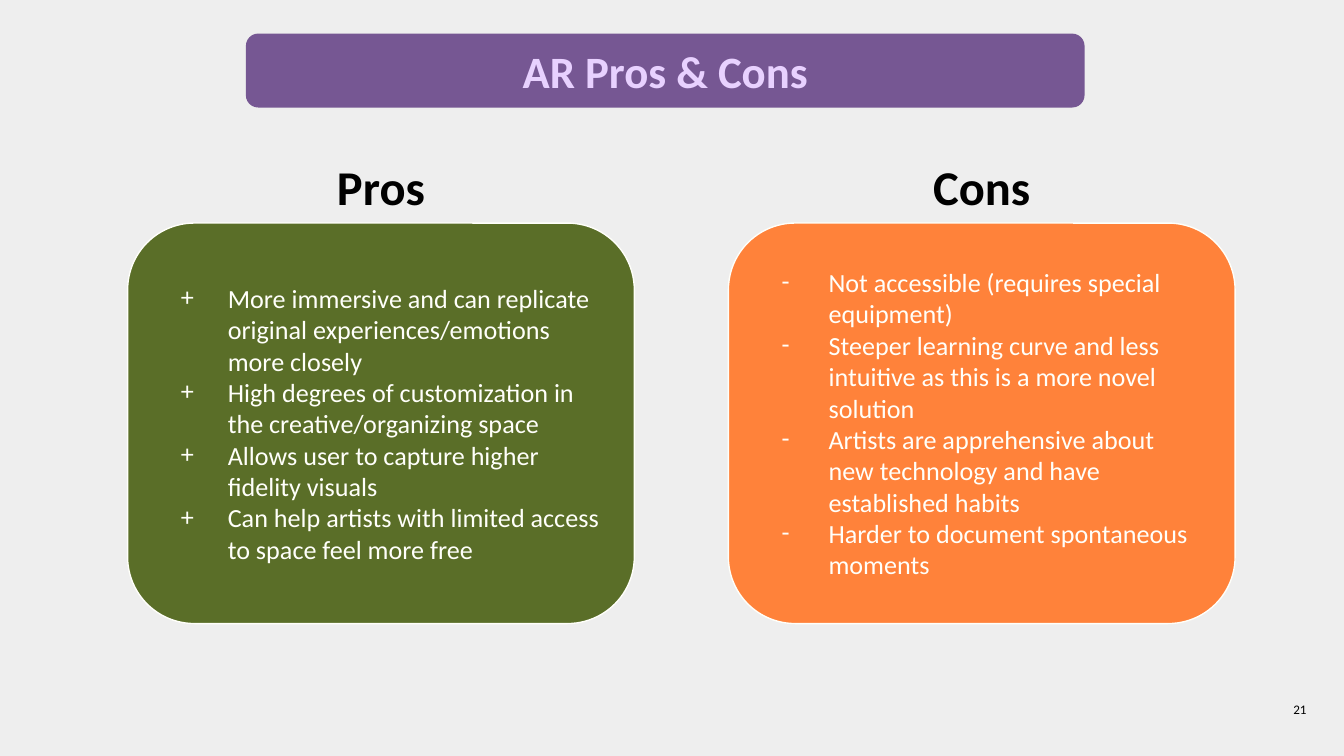
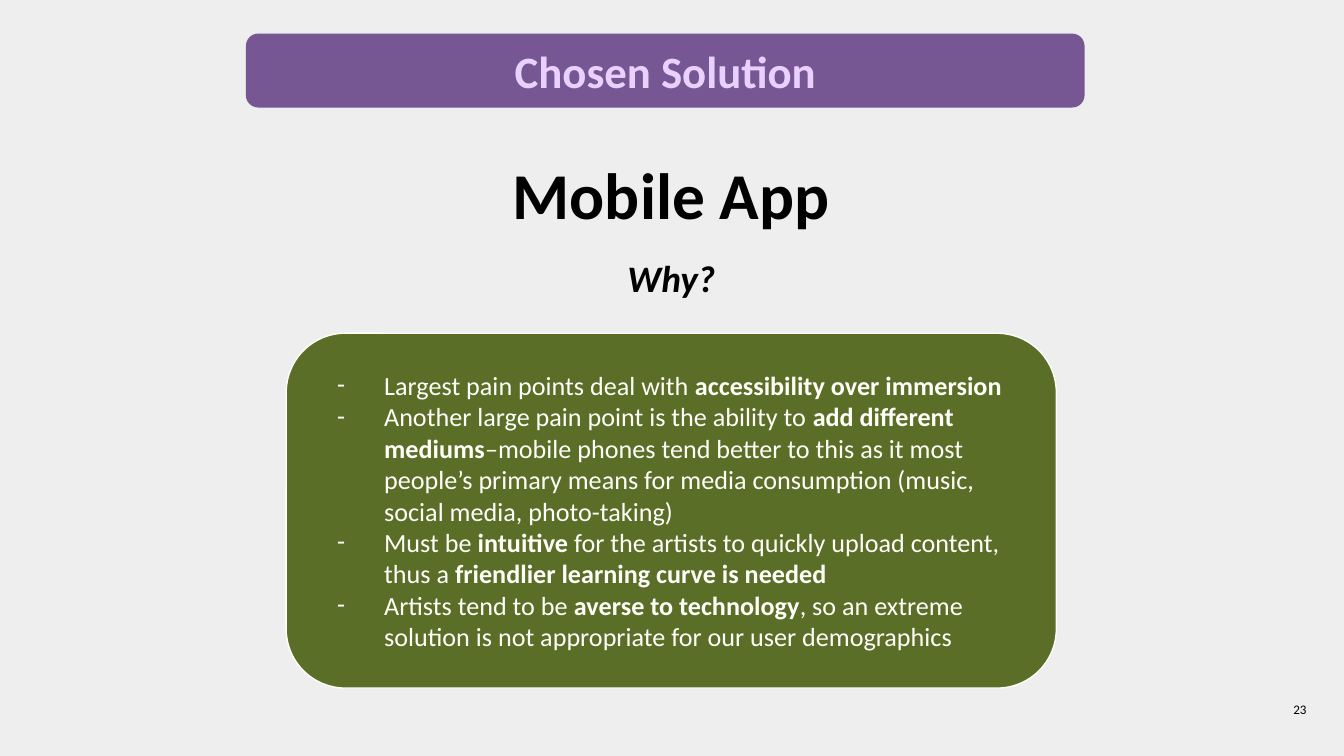
from dataclasses import dataclass

from lxml.etree import SubElement
from pptx import Presentation
from pptx.dml.color import RGBColor
from pptx.enum.shapes import MSO_SHAPE as Preset
from pptx.enum.text import MSO_ANCHOR as Anchor, MSO_AUTO_SIZE as AutoSize, PP_ALIGN as Align
from pptx.oxml import parse_xml
from pptx.oxml.ns import nsdecls, qn
from pptx.util import Inches, Pt


@dataclass(frozen=True)
class Theme:
    font: str = "Calibri"
    background: str = "EEEEEE"
    band: str = "765793"
    band_text: str = "E8D1FF"
    green: str = "5A6E28"
    orange: str = "FF823A"
    light: str = "FFFFFA"
    dark: str = "000000"
    title_size: int = 24
    column_size: int = 26
    headline_size: int = 35
    question_size: int = 20
    list_size: int = 14
    number_size: int = 7
    outline: float = 0.75


THEME = Theme()


@dataclass(frozen=True)
class Box:
    left: float
    top: float
    width: float
    height: float


@dataclass(frozen=True)
class Style:
    size: int
    color: str = THEME.dark
    bold: bool = False
    italic: bool = False
    align: Align = Align.LEFT


@dataclass(frozen=True)
class Span:
    text: str
    bold: bool = False


@dataclass(frozen=True)
class Label:
    text: str
    box: Box
    style: Style
    anchor: Anchor = Anchor.TOP


@dataclass(frozen=True)
class Panel:
    box: Box
    fill: str
    bullet: str
    items: tuple[tuple[Span, ...], ...]


@dataclass(frozen=True)
class Page:
    layout: str
    title: str
    number: int
    panels: tuple[Panel, ...]
    labels: tuple[Label, ...]


TITLE_BOX = Box(1.83, 0.25, 6.24, 0.55)
NUMBER_BOX = Box(9.22, 5.06, 0.6, 0.43)
TITLE_STYLE = Style(THEME.title_size, THEME.band_text, bold=True, align=Align.CENTER)
COLUMN_STYLE = Style(THEME.column_size, bold=True, align=Align.CENTER)
HEADLINE_STYLE = Style(THEME.headline_size, bold=True, align=Align.CENTER)
QUESTION_STYLE = Style(THEME.question_size, bold=True, italic=True, align=Align.CENTER)
NUMBER_STYLE = Style(THEME.number_size, align=Align.RIGHT)


def plain(*texts: str) -> tuple[tuple[Span, ...], ...]:
    return tuple((Span(text),) for text in texts)


def column_panel(left: float, fill: str, bullet: str, *texts: str) -> Panel:
    return Panel(Box(left, 1.66, 3.77, 2.98), fill, bullet, plain(*texts))


def column_label(left: float, text: str) -> Label:
    return Label(text, Box(left, 1.07, 1.95, 0.39), COLUMN_STYLE)


def center_label(top: float, text: str, style: Style) -> Label:
    return Label(text, Box(3.34, top, 3.31, 0.55), style)


PAGES = (
    Page(
        "Two Content",
        "AR Pros & Cons",
        21,
        (
            column_panel(
                0.95, THEME.green, "+",
                "More immersive and can replicate original experiences/emotions more closely",
                "High degrees of customization in the creative/organizing space",
                "Allows user to capture higher fidelity visuals",
                "Can help artists with limited access to space feel more free",
            ),
            column_panel(
                5.42, THEME.orange, "-",
                "Not accessible (requires special equipment)",
                "Steeper learning curve and less intuitive as this is a more novel solution",
                "Artists are apprehensive about new technology and have established habits",
                "Harder to document spontaneous moments",
            ),
        ),
        (column_label(1.86, "Pros"), column_label(6.33, "Cons")),
    ),
    Page(
        "Title and Content",
        "Chosen Solution",
        23,
        (
            Panel(
                Box(2.13, 2.48, 5.73, 2.64), THEME.green, "-",
                (
                    (
                        Span("Largest pain points deal with "),
                        Span("accessibility over immersion", True),
                    ),
                    (
                        Span("Another large pain point is the ability to "),
                        Span("add different mediums", True),
                        Span(
                            "–mobile phones tend better to this as it most people’s primary "
                            "means for media consumption (music, social media, photo-taking)"
                        ),
                    ),
                    (
                        Span("Must be "),
                        Span("intuitive", True),
                        Span(" for the artists to quickly upload content, thus a "),
                        Span("friendlier learning curve is needed", True),
                    ),
                    (
                        Span("Artists tend to be "),
                        Span("averse to technology", True),
                        Span(
                            ", so an extreme solution is not appropriate "
                            "for our user demographics"
                        ),
                    ),
                ),
            ),
        ),
        (
            center_label(1.05, "Mobile App", HEADLINE_STYLE),
            center_label(1.8, "Why?", QUESTION_STYLE),
        ),
    ),
)


def place(shape, box: Box) -> None:
    shape.left, shape.top = Inches(box.left), Inches(box.top)
    shape.width, shape.height = Inches(box.width), Inches(box.height)


def paint(fill, color: str) -> None:
    fill.solid()
    fill.fore_color.rgb = RGBColor.from_string(color)


def prepare_frame(shape, anchor: Anchor):
    frame = shape.text_frame
    frame.word_wrap = True
    frame.auto_size = AutoSize.NONE
    frame.vertical_anchor = anchor
    frame.margin_left = frame.margin_right = Inches(0.1)
    frame.margin_top = frame.margin_bottom = Inches(0.1)
    return frame


def add_run(paragraph, text: str, style: Style, bold: bool) -> None:
    run = paragraph.add_run()
    run.text = text
    font = run.font
    font.name = THEME.font
    font.size = Pt(style.size)
    font.bold = bold
    font.italic = style.italic
    font.color.rgb = RGBColor.from_string(style.color)


def write_line(shape, text: str, style: Style, anchor: Anchor) -> None:
    paragraph = prepare_frame(shape, anchor).paragraphs[0]
    paragraph.alignment = style.align
    add_run(paragraph, text, style, style.bold)


def set_bullet(paragraph, character: str, color: str) -> None:
    properties = paragraph._p.get_or_add_pPr()
    properties.set("marL", str(Inches(0.5)))
    properties.set("indent", str(Inches(-0.35)))
    bullet_color = SubElement(properties, qn("a:buClr"))
    SubElement(bullet_color, qn("a:srgbClr"), val=color)
    SubElement(properties, qn("a:buFont"), typeface=THEME.font)
    SubElement(properties, qn("a:buChar"), char=character)


def draw_title(slide, text: str) -> None:
    title = slide.shapes.title
    band = slide.shapes.add_shape(Preset.FLOWCHART_ALTERNATE_PROCESS, 0, 0, 0, 0)
    title.element.addprevious(band.element)
    paint(band.fill, THEME.band)
    band.line.fill.background()
    band.shadow.inherit = False
    for shape in (band, title):
        place(shape, TITLE_BOX)
    write_line(title, text, TITLE_STYLE, Anchor.MIDDLE)


def draw_panel(body, panel: Panel) -> None:
    place(body, panel.box)
    geometry = f'<a:prstGeom {nsdecls("a")} prst="roundRect"><a:avLst/></a:prstGeom>'
    body.element.spPr.insert(1, parse_xml(geometry))
    paint(body.fill, panel.fill)
    paint(body.line.fill, THEME.light)
    body.line.width = Pt(THEME.outline)
    style = Style(THEME.list_size, THEME.light)
    frame = prepare_frame(body, Anchor.MIDDLE)
    for index, spans in enumerate(panel.items):
        paragraph = frame.add_paragraph() if index else frame.paragraphs[0]
        set_bullet(paragraph, panel.bullet, style.color)
        paragraph.alignment = style.align
        paragraph.space_before = Pt(0)
        for span in spans:
            add_run(paragraph, span.text, style, span.bold)


def draw_label(slide, label: Label) -> None:
    shape = slide.shapes.add_textbox(0, 0, 0, 0)
    place(shape, label.box)
    write_line(shape, label.text, label.style, label.anchor)


def draw_page(presentation, page: Page) -> None:
    slide = presentation.slides.add_slide(presentation.slide_layouts.get_by_name(page.layout))
    bodies = list(slide.placeholders)[1:]
    draw_title(slide, page.title)
    for body, panel in zip(bodies, page.panels):
        draw_panel(body, panel)
    for label in page.labels:
        draw_label(slide, label)
    draw_label(slide, Label(str(page.number), NUMBER_BOX, NUMBER_STYLE, Anchor.MIDDLE))


def main() -> None:
    presentation = Presentation()
    presentation.slide_width = Inches(10)
    presentation.slide_height = Inches(10) * 9 // 16
    paint(presentation.slide_master.background.fill, THEME.background)
    for page in PAGES:
        draw_page(presentation, page)
    presentation.save("out.pptx")


if __name__ == "__main__":
    main()
